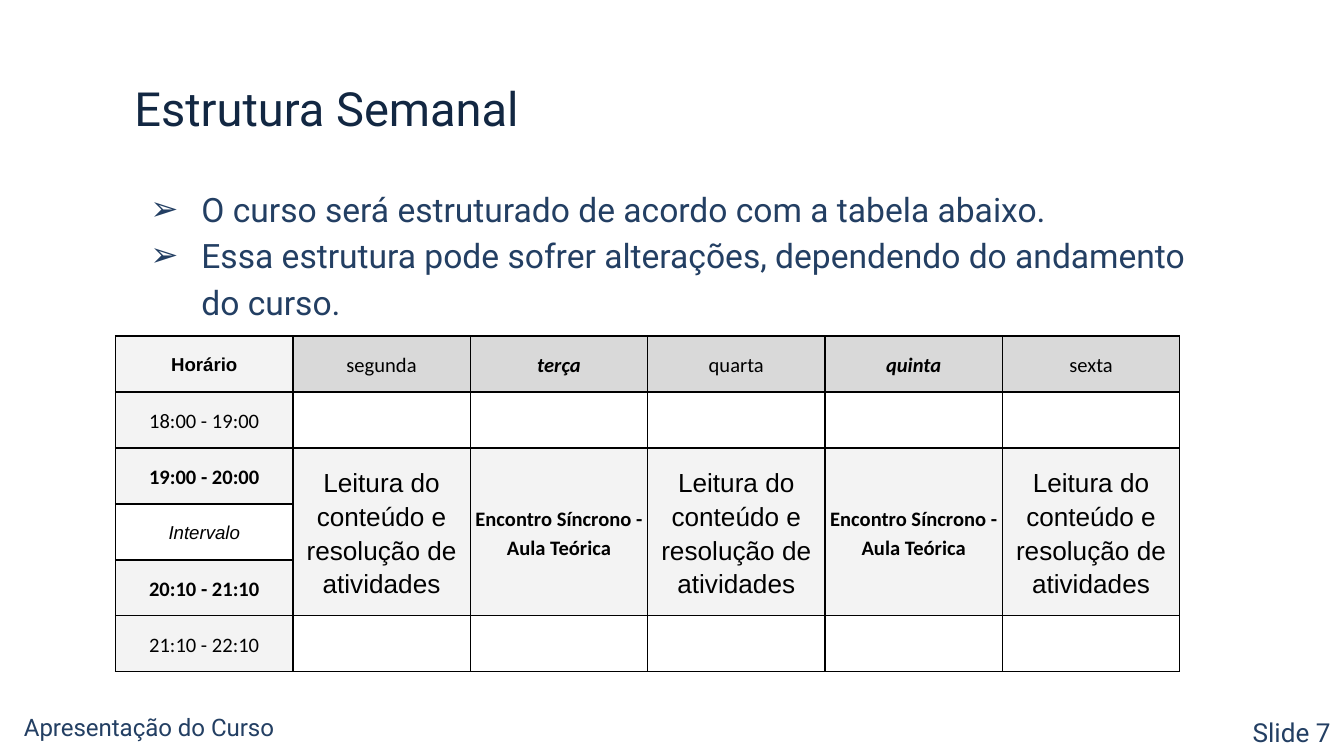
from lxml import etree
from pptx import Presentation
from pptx.dml.color import RGBColor
from pptx.enum.text import MSO_ANCHOR, MSO_AUTO_SIZE, PP_ALIGN
from pptx.oxml.ns import qn
from pptx.util import Inches, Pt

TOP, MIDDLE = MSO_ANCHOR.TOP, MSO_ANCHOR.MIDDLE
LEFT, CENTER, RIGHT = PP_ALIGN.LEFT, PP_ALIGN.CENTER, PP_ALIGN.RIGHT
NAVY, BLUE, BLACK = "122742", "233F63", "000000"
WHITE, PALE, GRAY = "FFFFFF", "F3F3F3", "D9D9D9"

TITLE = "Estrutura Semanal"
POINTS = [
    "O curso será estruturado de acordo com a tabela abaixo.",
    "Essa estrutura pode sofrer alterações, dependendo do andamento do curso.",
]
COURSE_LABEL = "Apresentação do Curso"
PAGE_LABEL = "Slide 7"

PLAIN = {"name": "Calibri", "size": Pt(11), "bold": False, "italic": False}
STRONG = PLAIN | {"bold": True}
SYNC_DAY = STRONG | {"italic": True}
CORNER = STRONG | {"name": "Arial", "size": Pt(10)}
BREAK = CORNER | {"bold": False, "italic": True}
READING = PLAIN | {"name": "Arial", "size": Pt(14)}

READ_TASK = ("Leitura do conteúdo e resolução de atividades", READING)
MEETING = ("Encontro Síncrono - Aula Teórica", STRONG)
DAYS = [
    ("segunda", PLAIN, READ_TASK),
    ("terça", SYNC_DAY, MEETING),
    ("quarta", PLAIN, READ_TASK),
    ("quinta", SYNC_DAY, MEETING),
    ("sexta", PLAIN, READ_TASK),
]
HOURS = [
    ("Horário", CORNER, PALE),
    ("18:00 - 19:00", PLAIN, PALE),
    ("19:00 - 20:00", STRONG, PALE),
    ("Intervalo", BREAK, WHITE),
    ("20:10 - 21:10", STRONG, PALE),
    ("21:10 - 22:10", PLAIN, PALE),
]
CLASS_START, CLASS_END = 2, 4
COL_WIDTH, SCHEDULE_HEIGHT = 1.32, 2.5


def rgb(value):
    return RGBColor.from_string(value)


def apply(target, values):
    for key, value in values.items():
        setattr(target, key, value)


def write(paragraph, text, font, color, **layout):
    run = paragraph.add_run()
    run.text = text
    apply(run.font, font)
    run.font.color.rgb = rgb(color)
    apply(paragraph, layout)


def place(box, left, top, width, height, anchor=TOP):
    apply(box, {"left": Inches(left), "top": Inches(top),
                "width": Inches(width), "height": Inches(height)})
    margins = {f"margin_{side}": Inches(0.1) for side in ("left", "top", "right", "bottom")}
    apply(box.text_frame, margins | {"word_wrap": True, "vertical_anchor": anchor,
                                     "auto_size": MSO_AUTO_SIZE.NONE})
    return box.text_frame


def add_text(slide, *position):
    return place(slide.shapes.add_textbox(0, 0, 0, 0), *position)


def add_bullet(paragraph):
    props = paragraph._p.get_or_add_pPr()
    props.set("marL", str(Inches(0.5)))
    props.set("indent", str(Inches(-0.38)))
    color = etree.SubElement(props, qn("a:buClr"))
    etree.SubElement(color, qn("a:srgbClr"), val=BLUE)
    etree.SubElement(props, qn("a:buFont"), typeface="Roboto")
    etree.SubElement(props, qn("a:buChar"), char="➢")


def add_borders(cell):
    props = cell._tc.get_or_add_tcPr()
    for side in ("lnL", "lnR", "lnT", "lnB"):
        line = etree.SubElement(props, qn(f"a:{side}"), w=str(Pt(0.75)))
        fill = etree.SubElement(line, qn("a:solidFill"))
        etree.SubElement(fill, qn("a:srgbClr"), val=BLACK)


def cell_content(row, col):
    if col == 0:
        return HOURS[row]
    day, day_font, task = DAYS[col - 1]
    if row == 0:
        return day, day_font, GRAY
    if row == CLASS_START:
        return *task, PALE
    return "", PLAIN, PALE if CLASS_START < row <= CLASS_END else WHITE


def add_schedule(slide):
    cols, rows = len(DAYS) + 1, len(HOURS)
    frame = slide.shapes.add_table(rows, cols, Inches(0.86), Inches(2.5),
                                   Inches(COL_WIDTH * cols), Inches(SCHEDULE_HEIGHT))
    table = frame.table
    apply(table, {"first_row": False, "horz_banding": False})
    for column in table.columns:
        column.width = Inches(COL_WIDTH)
    for row in range(rows):
        table.rows[row].height = Inches(SCHEDULE_HEIGHT / rows)
        for col in range(cols):
            cell = table.cell(row, col)
            text, font, fill = cell_content(row, col)
            apply(cell, {"margin_left": Inches(0.03), "margin_right": Inches(0.03),
                         "margin_top": Inches(0.02), "margin_bottom": Inches(0.02),
                         "vertical_anchor": MIDDLE})
            add_borders(cell)
            cell.fill.solid()
            cell.fill.fore_color.rgb = rgb(fill)
            if text:
                write(cell.text_frame.paragraphs[0], text, font, BLACK,
                      alignment=CENTER, line_spacing=1.15)
    for col in range(1, cols):
        table.cell(CLASS_START, col).merge(table.cell(CLASS_END, col))


def main():
    deck = Presentation()
    apply(deck, {"slide_width": Inches(10), "slide_height": Inches(10 * 9 / 16)})
    slide = deck.slides.add_slide(deck.slide_layouts[5])

    heading = place(slide.shapes.title, 0.9, 0.49, 8.02, 0.63)
    write(heading.paragraphs[0], TITLE, {"name": "Roboto", "size": Pt(25.2)}, NAVY,
          alignment=LEFT)

    body = add_text(slide, 0.9, 1.26, 8.02, 3.74)
    for index, point in enumerate(POINTS):
        paragraph = body.add_paragraph() if index else body.paragraphs[0]
        add_bullet(paragraph)
        write(paragraph, point, {"name": "Roboto", "size": Pt(18)}, BLUE, line_spacing=1.15)

    page = add_text(slide, 8.52, 5.26, 1.48, 0.41, MIDDLE)
    write(page.paragraphs[0], PAGE_LABEL, {"name": "Roboto", "size": Pt(14)}, BLUE,
          alignment=RIGHT, line_spacing=0.8)
    course = add_text(slide, 0.08, 5.22, 4.43, 0.41)
    write(course.paragraphs[0], COURSE_LABEL, {"name": "Roboto", "size": Pt(12.9)}, BLUE,
          line_spacing=0.95, space_after=Pt(12))

    add_schedule(slide)
    deck.save("out.pptx")


if __name__ == "__main__":
    main()
